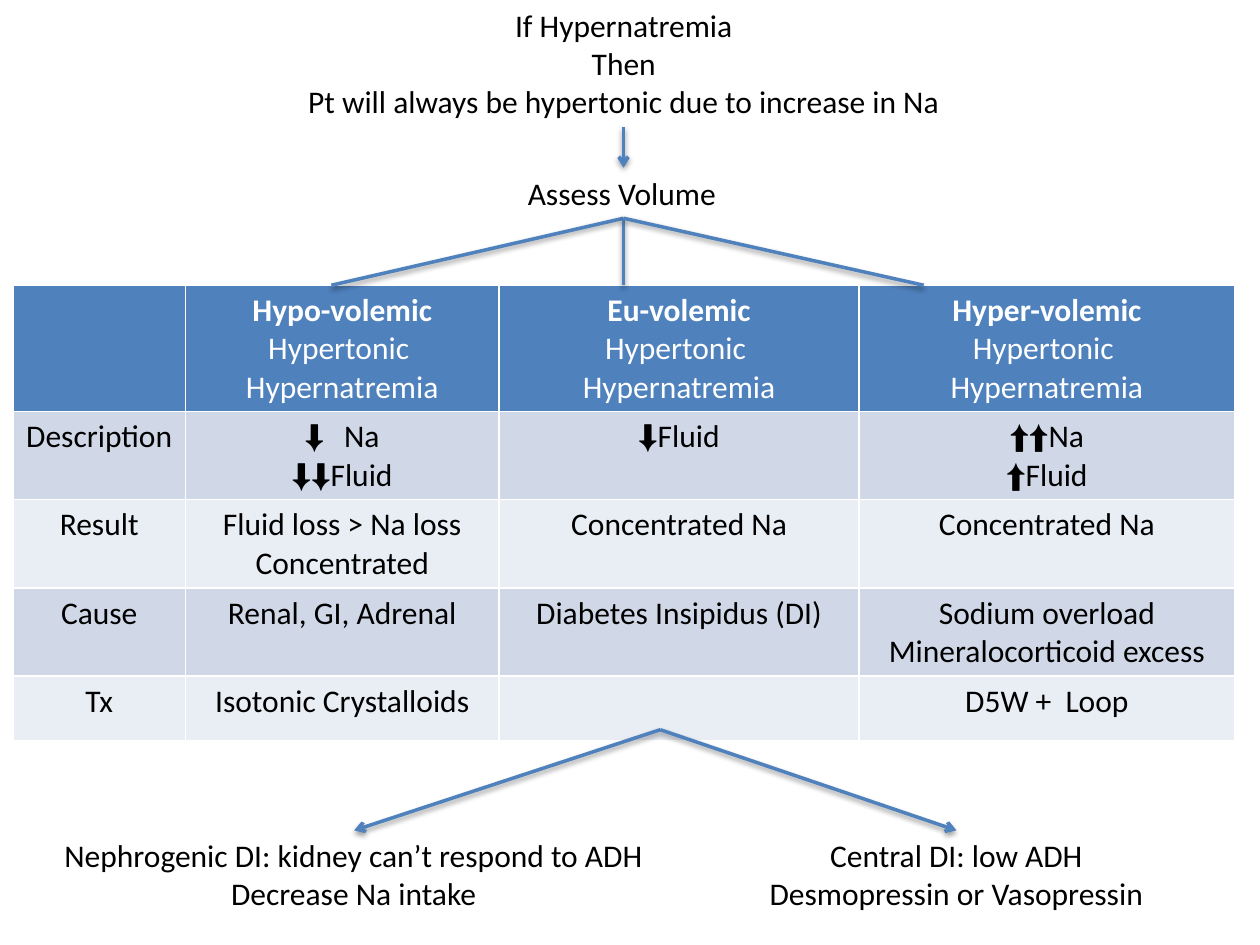
from lxml.etree import SubElement
from pptx import Presentation
from pptx.dml.color import RGBColor
from pptx.enum.shapes import MSO_CONNECTOR as Connector
from pptx.enum.text import MSO_AUTO_SIZE as AutoSize, PP_ALIGN as Align
from pptx.oxml.ns import qn
from pptx.util import Cm, Pt

COLORS = {"blue": "4F81BD", "band_dark": "D0D8E8", "band_light": "E9EDF4",
          "white": "FFFFFF", "black": "000000"}


def add_lines(frame, lines, color, bold_first=False):
    """Write centred 18 pt lines; a line with a tab before it gets an arrow bullet."""
    for number, line in enumerate(lines):
        para = frame.paragraphs[0] if number == 0 else frame.add_paragraph()
        para.alignment = Align.CENTER
        if line.startswith("\t"):
            props = para._p.get_or_add_pPr()
            props.set("marL", str(Cm(0.79)))
            props.set("indent", str(-Cm(0.79)))
            SubElement(props, qn("a:buFont"), typeface="Arial")
            SubElement(props, qn("a:buChar"), char="⬇")
        words = line.strip("\t").lstrip("⬆")
        rising = line.strip("\t")[:-len(words)]
        for text, font in ((rising, "Arial"), (words, "Calibri")):
            if text:
                span = para.add_run()
                span.text = text
                span.font.name = font
                span.font.size = Pt(18)
                span.font.bold = bold_first and number == 0
                span.font.color.rgb = RGBColor.from_string(COLORS[color])


def add_line(start, end, arrow=False):
    """Draw a blue line that keeps the theme's soft shadow."""
    line = page.shapes.add_connector(Connector.STRAIGHT, *map(Cm, start + end))
    line.line.color.rgb = RGBColor.from_string(COLORS["blue"])
    line.line.width = Pt(2)
    if arrow:
        SubElement(line.line._get_or_add_ln(), qn("a:tailEnd"), type="arrow")


deck = Presentation()
deck.slide_width, deck.slide_height = Cm(25.4), Cm(19.05)
page = deck.slides.add_slide(deck.slide_layouts[6])

# Text above and below the table
texts = [
    (5.87, 0, 13.41, 2.57, ["If Hypernatremia", "Then",
                            "Pt will always be hypertonic due to increase in Na"]),
    (10.35, 3.38, 4.37, 1.02, ["Assess Volume"]),
    (15.19, 16.73, 8.18, 1.8, ["Central DI: low ADH", "Desmopressin or Vasopressin"]),
    (0.97, 16.73, 12.32, 1.8, ["Nephrogenic DI: kidney can’t respond to ADH",
                               "Decrease Na intake"]),
]
for left, top, width, height, lines in texts:
    box = page.shapes.add_textbox(Cm(left), Cm(top), Cm(width), Cm(height))
    box.text_frame.word_wrap = False
    box.text_frame.auto_size = AutoSize.SHAPE_TO_FIT_TEXT
    add_lines(box.text_frame, lines, "black")

# Table of volume states
kind = ["Hypertonic ", "Hypernatremia"]
rows = [
    [[], ["Hypo-volemic", *kind], ["Eu-volemic", *kind], ["Hyper-volemic", *kind]],
    [["Description"], ["\tNa", "⬇⬇Fluid"], ["⬇Fluid"], ["⬆⬆Na", "⬆Fluid"]],
    [["Result"], ["Fluid loss > Na loss", "Concentrated"],
     ["Concentrated Na"], ["Concentrated Na"]],
    [["Cause"], ["Renal, GI, Adrenal"], ["Diabetes Insipidus (DI)"],
     ["Sodium overload", "Mineralocorticoid excess"]],
    [["Tx"], ["Isotonic Crystalloids"], [], ["D5W +  Loop"]],
]
widths = [3.48, 6.32, 7.26, 7.57]
heights = [2.54, 1.78, 1.78, 1.78, 1.3]
table = page.shapes.add_table(len(rows), len(widths), Cm(0.26), Cm(5.75),
                              Cm(sum(widths)), Cm(sum(heights))).table
for column, width in zip(table.columns, widths):
    column.width = Cm(width)
for row, height in zip(table.rows, heights):
    row.height = Cm(height)

for r, row in enumerate(rows):
    header = r == 0
    fill = "blue" if header else ("band_dark" if r % 2 else "band_light")
    for c, lines in enumerate(row):
        cell = table.cell(r, c)
        if c == 0:  # room for the longest row label on one line
            cell.margin_left = cell.margin_right = Cm(0.2)
        for side in "LRTB":
            border = SubElement(cell._tc.get_or_add_tcPr(), qn(f"a:ln{side}"), w=str(Pt(1)))
            paint = SubElement(border, qn("a:solidFill"))
            SubElement(paint, qn("a:srgbClr"), val=COLORS["white"])
        cell.fill.solid()
        cell.fill.fore_color.rgb = RGBColor.from_string(COLORS[fill])
        add_lines(cell.text_frame, lines, "white" if header else "black", header)

# Lines from the heading to the columns
add_line((12.57, 2.57), (12.57, 3.38), arrow=True)
for x in (6.68, 12.57, 18.62):
    add_line((12.57, 4.4), (x, 5.75))

# Arrows from the Eu-volemic treatment to its two options
for x in (7.14, 19.28):
    add_line((13.31, 14.71), (x, 16.74), arrow=True)

deck.save("out.pptx")
